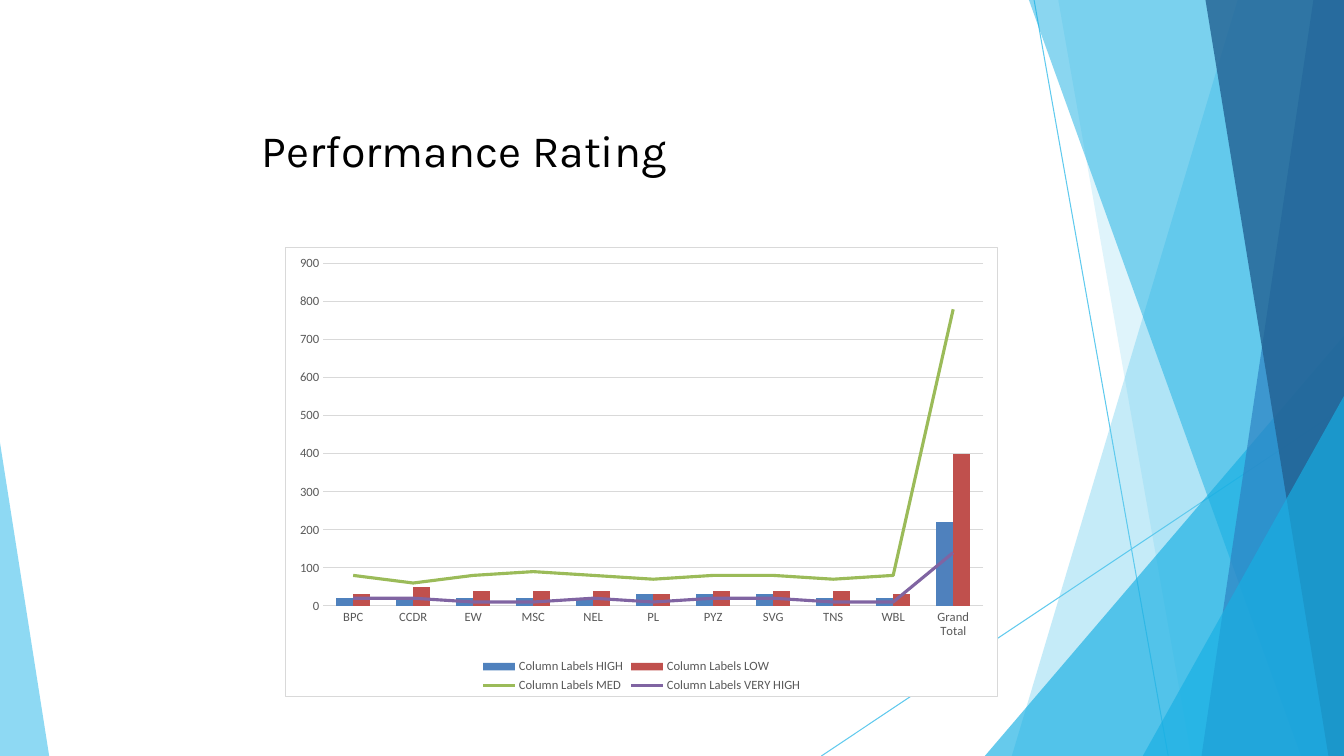
from collections import namedtuple

from lxml import etree
from pptx import Presentation
from pptx.chart.data import CategoryChartData
from pptx.dml.color import RGBColor
from pptx.enum.chart import XL_CHART_TYPE as ChartType
from pptx.enum.chart import XL_LEGEND_POSITION as LegendPosition
from pptx.enum.chart import XL_MARKER_STYLE as MarkerStyle
from pptx.enum.chart import XL_TICK_MARK as TickMark
from pptx.enum.shapes import MSO_CONNECTOR as Connector
from pptx.enum.text import MSO_ANCHOR as Anchor
from pptx.oxml import parse_xml
from pptx.oxml.ns import nsdecls, qn
from pptx.util import Cm, Pt

Box = namedtuple("Box", "left top width height")

PAGE = Box(0, 0, 33.87, 19.05)
TITLE = Box(6.6, 3.1, 14.12, 1.35)
CHART = Box(7.19, 6.22, 17.96, 11.35)

SKY, AZURE, BLUE, NAVY = "5FCAEE", "17AFE3", "2D83C3", "226192"
GREY, RULE = "595959", "D9D9D9"

# Top edge, width at the top, width at the bottom, colour, opacity in percent
FACETS = [
    (0, 2.68, 8.37, SKY, 36),
    (0, 7.2, 3.85, SKY, 20),
    (8.46, 0, 9.05, AZURE, 66),
    (0, 7.94, 1.08, AZURE, 50),
    (0, 0.77, 3.59, BLUE, 70),
    (0, 3.49, 0.39, NAVY, 80),
    (9.98, 0, 5.07, AZURE, 66),
]

GROUPS = ["BPC", "CCDR", "EW", "MSC", "NEL", "PL", "PYZ", "SVG", "TNS", "WBL",
          "Grand Total"]
RATINGS = [
    ("HIGH", "4F81BD", [20, 20, 20, 20, 20, 30, 30, 30, 20, 20, 220]),
    ("LOW", "C0504D", [30, 50, 40, 40, 40, 30, 40, 40, 40, 30, 400]),
    ("MED", "9BBB59", [80, 60, 80, 90, 80, 70, 80, 80, 70, 80, 780]),
    ("VERY HIGH", "8064A2", [20, 20, 10, 10, 20, 10, 20, 20, 10, 10, 140]),
]
COLUMN_COUNT = 2


def colour(code):
    return RGBColor.from_string(code)


def paint(fill, code):
    fill.solid()
    fill.fore_color.rgb = colour(code)


def stroke(line, code, width):
    paint(line.fill, code)
    line.width = Pt(width)


def set_font(font, name, size, code):
    font.name = name
    font.size = Pt(size)
    font.color.rgb = colour(code)


def add_line(page, start, end):
    line = page.shapes.add_connector(
        Connector.STRAIGHT, *(Cm(value) for value in start + end))
    stroke(line.line, SKY, 0.75)
    etree.SubElement(line._element.spPr, qn("a:effectLst"))


def add_facet(page, corners, code, opacity):
    points = [(Cm(x), Cm(y)) for x, y in corners]
    builder = page.shapes.build_freeform(*points[0])
    builder.add_line_segments(points[1:], close=True)
    facet = builder.convert_to_shape()
    facet.shadow.inherit = False
    facet.line.fill.background()
    paint(facet.fill, code)
    tone = facet._element.spPr.find(".//" + qn("a:srgbClr"))
    etree.SubElement(tone, qn("a:alpha"), val=str(opacity * 1000))


def add_backdrop(page, box):
    """Draw the thin lines and the see-through facets at both sides."""
    right, bottom = box.left + box.width, box.top + box.height
    add_line(page, (right - 7.81, box.top), (right - 4.43, bottom))
    add_line(page, (right, box.top + 10.26), (right - 13.17, bottom))
    for top, top_width, bottom_width, code, opacity in FACETS:
        corners = [(right, box.top + top), (right - bottom_width, bottom),
                   (right, bottom)]
        if top_width:
            corners.insert(1, (right - top_width, box.top + top))
        add_facet(page, corners, code, opacity)
    wedge = [(box.left, box.top + 11.15), (box.left, bottom),
             (box.left + 1.24, bottom)]
    add_facet(page, wedge, SKY, 70)


def add_title(page, box, text):
    frame = page.shapes.add_textbox(*(Cm(side) for side in box)).text_frame
    frame.word_wrap = True
    frame.vertical_anchor = Anchor.TOP
    frame.margin_left = frame.margin_right = 0
    frame.margin_top = frame.margin_bottom = 0
    para = frame.paragraphs[0]
    para.text = text
    set_font(para.font, "Karla", 32, "000000")


def move_to_lines(chart):
    """Turn the series after the columns into a line plot on the same axes."""
    bars = chart.plots[0]._element
    lines = parse_xml(
        f'<c:lineChart {nsdecls("c")}><c:grouping val="standard"/>'
        '<c:varyColors val="0"/></c:lineChart>')
    for series in bars.findall(qn("c:ser"))[COLUMN_COUNT:]:
        for flag in series.findall(qn("c:invertIfNegative")):
            series.remove(flag)
        lines.append(series)
    etree.SubElement(lines, qn("c:marker"), val="1")
    for axis in bars.findall(qn("c:axId")):
        etree.SubElement(lines, qn("c:axId"), val=axis.get("val"))
    bars.addnext(lines)


def frame_chart(chart):
    """Give the chart area a white fill and a grey border."""
    area = parse_xml(
        f'<c:spPr {nsdecls("c", "a")}>'
        '<a:solidFill><a:srgbClr val="FFFFFF"/></a:solidFill>'
        f'<a:ln w="{Pt(0.75)}"><a:solidFill><a:srgbClr val="{RULE}"/>'
        '</a:solidFill></a:ln></c:spPr>')
    chart._chartSpace.find(qn("c:chart")).addnext(area)


def style_axes(chart):
    for axis in (chart.category_axis, chart.value_axis):
        axis.major_tick_mark = axis.minor_tick_mark = TickMark.NONE
        set_font(axis.tick_labels.font, "Calibri", 9, GREY)
    stroke(chart.category_axis.format.line, RULE, 0.75)
    values = chart.value_axis
    values.minimum_scale, values.maximum_scale = 0, 900
    values.major_unit = 100
    values.format.line.fill.background()
    stroke(values.major_gridlines.format.line, RULE, 0.75)


def add_rating_chart(page, box):
    data = CategoryChartData(number_format="General")
    data.categories = GROUPS
    for rating, _, values in RATINGS:
        data.add_series(f"Column Labels {rating}", values)
    chart = page.shapes.add_chart(
        ChartType.COLUMN_CLUSTERED, *(Cm(side) for side in box), data).chart
    chart.has_title = False
    set_font(chart.font, "Calibri", 10, "000000")
    move_to_lines(chart)
    frame_chart(chart)
    style_axes(chart)

    columns, lines = chart.plots
    columns.gap_width, columns.overlap = 150, 0
    columns.vary_by_categories = False
    for series, (_, code, _) in zip(columns.series, RATINGS):
        paint(series.format.fill, code)
    for series, (_, code, _) in zip(lines.series, RATINGS[COLUMN_COUNT:]):
        stroke(series.format.line, code, 2.25)
        series.marker.style = MarkerStyle.NONE
        series.smooth = False

    chart.has_legend = True
    chart.legend.position = LegendPosition.BOTTOM
    chart.legend.include_in_layout = False
    set_font(chart.legend.font, "Calibri", 9, GREY)


def build_rating_page(deck):
    page = deck.slides.add_slide(deck.slide_layouts[6])
    add_backdrop(page, PAGE)
    add_title(page, TITLE, "Performance Rating")
    add_rating_chart(page, CHART)


def main():
    deck = Presentation()
    deck.slide_width, deck.slide_height = Cm(PAGE.width), Cm(PAGE.height)
    build_rating_page(deck)
    deck.save("out.pptx")


if __name__ == "__main__":
    main()
